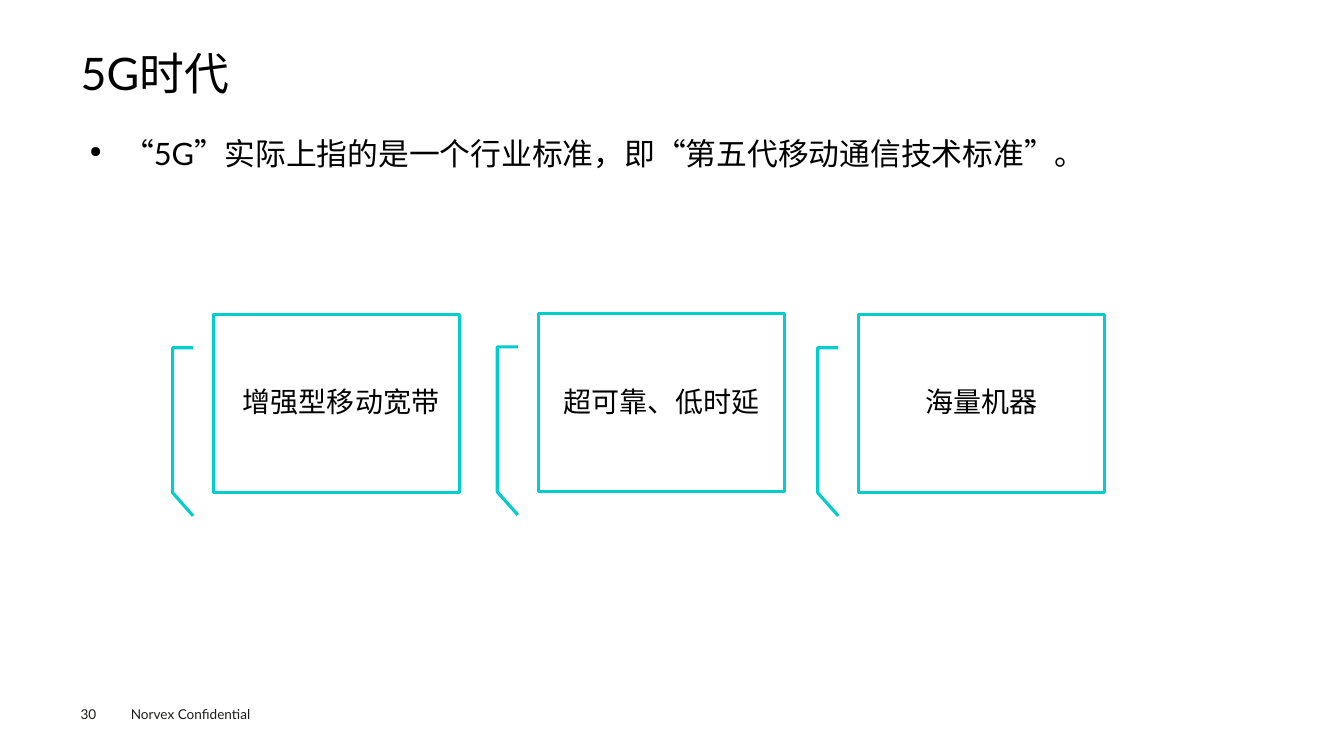
from lxml import etree
from pptx import Presentation
from pptx.dml.color import RGBColor
from pptx.enum.shapes import MSO_SHAPE
from pptx.enum.text import MSO_ANCHOR, PP_ALIGN
from pptx.oxml.ns import qn
from pptx.util import Pt

CALLOUT = MSO_SHAPE.LINE_CALLOUT_3
LEFT, CENTER, JUSTIFY = PP_ALIGN.LEFT, PP_ALIGN.CENTER, PP_ALIGN.JUSTIFY
TOP, MIDDLE = MSO_ANCHOR.TOP, MSO_ANCHOR.MIDDLE

BLACK = RGBColor(0x00, 0x00, 0x00)
GREY = RGBColor(0x1D, 0x1D, 0x1B)
TEAL = RGBColor(0x02, 0xCC, 0xCC)
FONT = "Lato"

# Left and top of each callout, with its label and the label's width
CARDS = [
    (152.6, 224.6, "增强型移动宽带", 156.2, 3.2),
    (384.5, 223.9, "超可靠、低时延", 163.4, 0.4),
    (613.4, 224.6, "海量机器", 99.4, 0),
]
CARD_W, CARD_H = 175.7, 127.4


def fill_text(shape, text, size, color=BLACK, align=LEFT, anchor=TOP, inset=(0, 0)):
    frame = shape.text_frame
    frame.word_wrap = True
    frame.vertical_anchor = anchor
    frame.margin_left = frame.margin_right = Pt(inset[0])
    frame.margin_top = frame.margin_bottom = Pt(inset[1])
    frame.text = text
    para = frame.paragraphs[0]
    para.alignment = align
    font = para.runs[0].font
    font.name, font.size, font.color.rgb = FONT, Pt(size), color
    return para


def add_text(slide, box, text, size, **style):
    shape = slide.shapes.add_textbox(*map(Pt, box))
    return fill_text(shape, text, size, **style)


def add_title(slide, box, text):
    title = slide.shapes.title
    title.left, title.top, title.width, title.height = map(Pt, box)
    para = fill_text(title, text, 32, anchor=MIDDLE)
    para.line_spacing = 0.9


def add_body(slide, box, text):
    para = add_text(slide, box, text, 22, align=JUSTIFY, inset=(6.5, 2.9))
    para.line_spacing = 1.4
    # Hanging bullet at half the text size
    props = para._p.get_or_add_pPr()
    props.set("marL", str(Pt(23.8)))
    props.set("indent", str(-Pt(23.8)))
    etree.SubElement(props, qn("a:buSzPct")).set("val", "50000")
    etree.SubElement(props, qn("a:buChar")).set("char", "●")


def add_card(slide, box, text, width, shift):
    left, top, wide, high = box
    card = slide.shapes.add_shape(CALLOUT, *map(Pt, box))
    card.shadow.inherit = False
    card.fill.background()
    card.line.color.rgb = TEAL
    card.line.width = Pt(2.25)
    # Label centred on the callout, with a small sideways shift
    label = (left + (wide - width) / 2 + shift, 271.4, width, 32.4)
    add_text(slide, label, text, 20, align=CENTER, inset=(7.9, 3.6))


def add_footer(slide, box):
    left, top, wide, high = box
    add_text(slide, (left + 28.8, top, wide, high), "Norvex Confidential",
             9.7, color=GREY, inset=(7.2, 3.6))
    add_text(slide, (left, top + 3.6, 39.6, 11.5), "30", 9.7, color=GREY)


def main():
    deck = Presentation()
    deck.slide_width, deck.slide_height = Pt(960), Pt(540)
    slide = deck.slides.add_slide(deck.slide_layouts[5])

    # Title and statement
    add_title(slide, (57.6, 35.3, 844.6, 38.2), "5G时代")
    add_body(slide, (57.6, 82.8, 844.6, 384.5),
             "“5G”实际上指的是一个行业标准，即“第五代移动通信技术标准”。")

    # Three application scenarios
    for left, top, text, width, shift in CARDS:
        add_card(slide, (left, top, CARD_W, CARD_H), text, width, shift)

    # Page number and notice
    add_footer(slide, (57.6, 500.4, 115.2, 19.4))
    deck.save("out.pptx")


if __name__ == "__main__":
    main()
